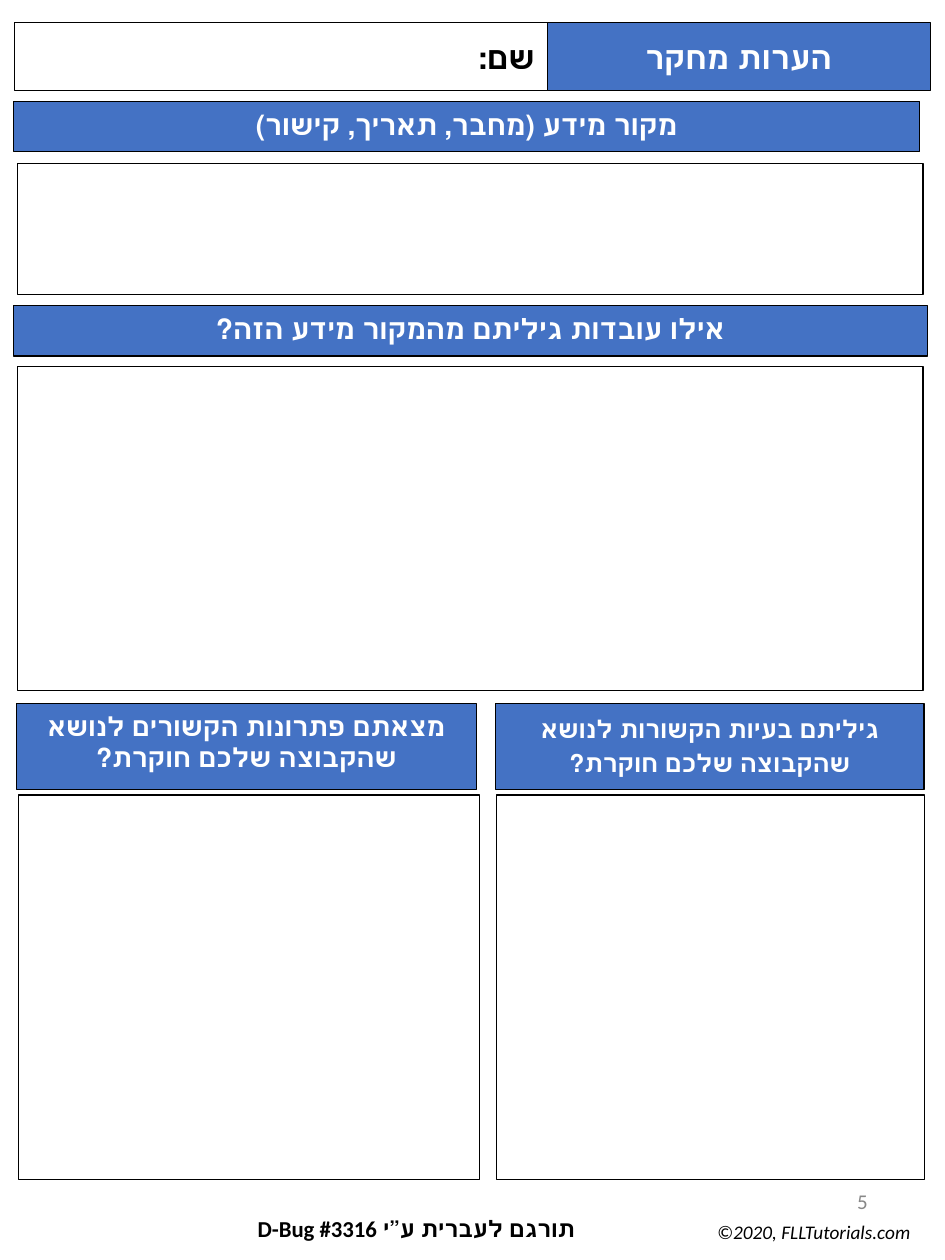
from collections import namedtuple

from pptx import Presentation
from pptx import util as u
from pptx.dml.color import RGBColor
from pptx.enum import shapes, text

BLUE = RGBColor(0x44, 0x72, 0xC4)
WHITE = RGBColor(0xFF, 0xFF, 0xFF)
BLACK = RGBColor(0, 0, 0)
GRAY = RGBColor(0x88, 0x88, 0x88)
FONT = "Calibri"
CENTER, RIGHT = text.PP_ALIGN.CENTER, text.PP_ALIGN.RIGHT
TOP, MIDDLE = text.MSO_ANCHOR.TOP, text.MSO_ANCHOR.MIDDLE

# The page is a grid of 75 columns by 100 rows.
COLUMNS, ROWS = 75, 100
WIDTH, HEIGHT = u.Inches(7.5), u.Inches(10)
Box = namedtuple("Box", "left top width height")


def to_lengths(box):
    column, row = WIDTH / COLUMNS, HEIGHT / ROWS
    return [round(value * unit) for value, unit in zip(box, (column, row, column, row))]


def write(shape, words, size, color, align=CENTER, anchor=TOP, bold=True,
          italic=False, rtl=True, spacing=None):
    frame = shape.text_frame
    frame.word_wrap = True
    frame.vertical_anchor = anchor
    frame.text = words
    para = frame.paragraphs[0]
    para.alignment = align
    if spacing:
        para.line_spacing = spacing
    if rtl:
        para._p.get_or_add_pPr().set("rtl", "1")
    font = para.runs[0].font
    font.name, font.size = FONT, u.Pt(size)
    font.bold, font.italic = bold, italic
    font.color.rgb = color


def add_panel(page, box, fill=None):
    panel = page.shapes.add_shape(shapes.MSO_SHAPE.RECTANGLE, *to_lengths(box))
    panel.shadow.inherit = False
    if fill is None:
        panel.fill.background()
    else:
        panel.fill.solid()
        panel.fill.fore_color.rgb = fill
    panel.line.color.rgb = BLACK
    panel.line.width = u.Pt(0.75)
    return panel


def add_label(page, box, words, size, color, **style):
    label = page.shapes.add_textbox(*to_lengths(box))
    write(label, words, size, color, align=RIGHT, **style)


def add_header(page, box):
    name_width = 42.3
    title_left = 42.25
    title = add_panel(page, Box(box.left + title_left, box.top,
                                box.width - title_left, box.height), BLUE)
    write(title, "הערות מחקר", 18, WHITE, anchor=MIDDLE, rtl=False)
    name = add_panel(page, box._replace(width=name_width), WHITE)
    write(name, "שם:", 18, BLACK, align=RIGHT, anchor=MIDDLE)


def add_section(page, box, words, size, bar, answer_top, indent, spacing=None):
    """Place a heading bar of size bar (columns, rows) above an empty answer panel."""
    heading = add_panel(page, Box(box.left, box.top, *bar), BLUE)
    write(heading, words, size, WHITE, spacing=spacing)
    add_panel(page, Box(box.left + indent, box.top + answer_top,
                        box.width - indent, box.height - answer_top))


def add_footer(page, box):
    add_label(page, Box(box.left + 48.35, box.top, 16.9, 5.3), "5", 12, GRAY,
              anchor=MIDDLE, bold=False, rtl=False)
    add_label(page, Box(box.left + 51.15, box.top + 3.65, 17.5, 2.8),
              "©2020, FLLTutorials.com", 11, BLACK, bold=False, italic=True, rtl=False)
    add_label(page, Box(box.left, box.top + 3.2, 42, 2.8),
              "תורגם לעברית ע”י D-Bug #3316", 13, BLACK)


def main():
    deck = Presentation()
    deck.slide_width, deck.slide_height = WIDTH, HEIGHT
    page = deck.slides.add_slide(deck.slide_layouts[6])

    add_header(page, Box(1.15, 1.8, 72.7, 5.4))
    add_section(page, Box(1.1, 8.05, 72.15, 15.35), "מקור מידע (מחבר, תאריך, קישור)",
                16, bar=(71.9, 4), answer_top=4.95, indent=0.3)
    add_section(page, Box(1.1, 24.25, 72.15, 30.55), "אילו עובדות גיליתם מהמקור מידע הזה?",
                16, bar=(72.5, 4), answer_top=4.85, indent=0.3)
    add_section(page, Box(1.3, 55.85, 36.75, 37.75),
                "מצאתם פתרונות הקשורים לנושא שהקבוצה שלכם חוקרת?",
                15, bar=(36.5, 6.8), answer_top=7.25, indent=0.15)
    add_section(page, Box(39.35, 55.85, 34.05, 37.75),
                "גיליתם בעיות הקשורות לנושא שהקבוצה שלכם חוקרת?",
                14, bar=(34, 6.8), answer_top=7.25, indent=0.05, spacing=1.15)
    add_footer(page, Box(4.6, 92.7, 68.7, 6.4))

    deck.save("out.pptx")


if __name__ == "__main__":
    main()
